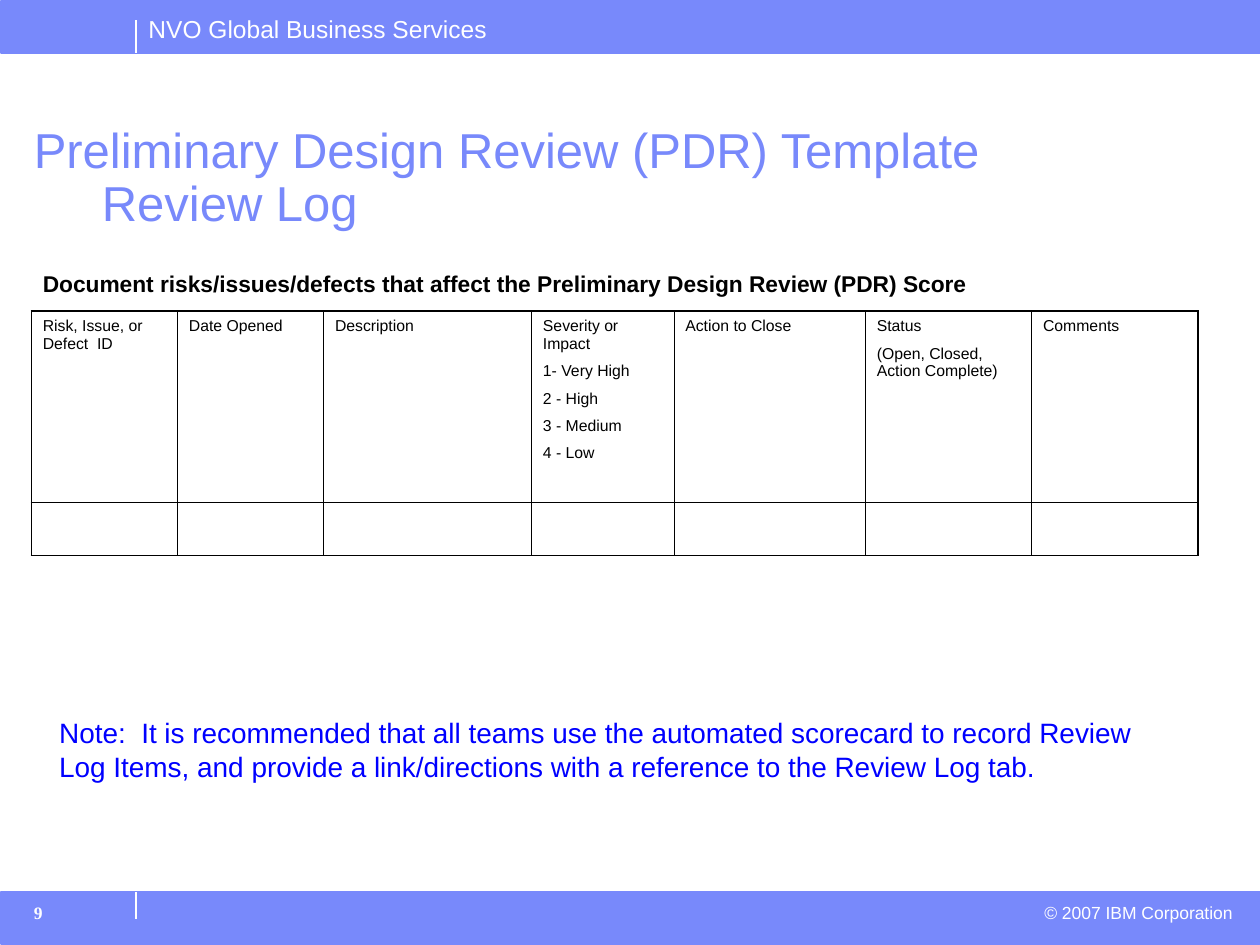
from lxml import etree
from pptx import Presentation
from pptx.dml.color import RGBColor
from pptx.enum import shapes, text
from pptx.oxml.ns import qn
from pptx.util import Inches, Pt

COLORS = {"band": "7889FB", "paper": "FFFFFF", "ink": "000000", "note": "0000FF"}

deck = Presentation()
deck.slide_width, deck.slide_height = Inches(10), Inches(7.5)
page = deck.slides.add_slide(deck.slide_layouts[6])


def add_span(para, words, size, color, bold=False, face="Arial"):
    span = para.add_run()
    span.text = words
    span.font.name, span.font.size, span.font.bold = face, Pt(size), bold
    span.font.color.rgb = RGBColor.from_string(COLORS[color])


def add_box(left, top, width, height, inset=(0.1, 0.05)):
    box = page.shapes.add_textbox(*map(Inches, (left, top, width, height)))
    frame = box.text_frame
    frame.word_wrap = True
    frame.margin_left = frame.margin_right = Inches(inset[0])
    frame.margin_top = frame.margin_bottom = Inches(inset[1])
    return frame.paragraphs[0]


# Header and footer bands, each with a white tick
for band_top, tick_top, tick_bottom in ((0.01, 0.16, 0.42), (7.08, 7.08, 7.29)):
    band = page.shapes.add_shape(shapes.MSO_SHAPE.RECTANGLE, Inches(0.01),
                                 Inches(band_top), Inches(9.99), Inches(0.41))
    band.shadow.inherit = False
    band.fill.solid()
    band.fill.fore_color.rgb = RGBColor.from_string(COLORS["band"])
    band.line.color.rgb = RGBColor.from_string(COLORS["band"])
    band.line.width = Pt(1)
    tick = page.shapes.add_connector(shapes.MSO_CONNECTOR.STRAIGHT, Inches(1.08),
                                     Inches(tick_top), Inches(1.08), Inches(tick_bottom))
    tick.line.color.rgb = RGBColor.from_string(COLORS["paper"])
    tick.line.width = Pt(1)
    etree.SubElement(tick._element.spPr, qn("a:effectLst"))

# Band texts
add_span(add_box(1.08, 0.06, 3.2, 0.33), "NVO Global Business Services", 14, "paper")
copyright_line = add_box(6.26, 7.11, 3.62, 0.27)
copyright_line.alignment = text.PP_ALIGN.RIGHT
add_span(copyright_line, "© 2007 IBM Corporation", 10, "paper")
add_span(add_box(0.17, 7.11, 1.1, 0.35), "9", 10, "paper", True, "Times New Roman")

# Title, with its second line hanging
title = add_box(0.17, 0.95, 9.02, 1.38)
title.line_spacing = 0.9
title_props = title._p.get_or_add_pPr()
title_props.set("marL", str(Inches(0.54)))
title_props.set("indent", str(-Inches(0.54)))
add_span(title, "Preliminary Design Review (PDR) Template", 28, "band")
title.add_line_break()
add_span(title, "Review Log", 28, "band")

# Lead-in and closing note
add_span(add_box(0.25, 2.1, 9.33, 0.57, (0.09, 0.04)),
         "Document risks/issues/defects that affect the Preliminary Design Review (PDR) Score",
         13, "ink", True)
add_span(add_box(0.38, 5.64, 9.1, 0.62, (0.09, 0.04)),
         "Note:  It is recommended that all teams use the automated scorecard to record "
         "Review Log Items, and provide a link/directions with a reference to the Review Log tab.",
         16, "note")

# Review log: header row and one empty row
COLUMNS = [
    (1.16, ["Risk, Issue, or Defect  ID"]),
    (1.16, ["Date Opened"]),
    (1.65, ["Description"]),
    (1.13, ["Severity or Impact", "1- Very High", "2 - High", "3 - Medium", "4 - Low"]),
    (1.52, ["Action to Close"]),
    (1.32, ["Status", "(Open, Closed, Action Complete)"]),
    (1.32, ["Comments"]),
]
ROWS = [1.52, 0.42]
log = page.shapes.add_table(len(ROWS), len(COLUMNS), Inches(0.25), Inches(2.47),
                            Inches(sum(width for width, _ in COLUMNS)),
                            Inches(sum(ROWS))).table
log.first_row = log.horz_banding = False
last_row, last_column = len(ROWS) - 1, len(COLUMNS) - 1

for r, height in enumerate(ROWS):
    log.rows[r].height = Inches(height)
    for c, (width, lines) in enumerate(COLUMNS):
        log.columns[c].width = Inches(width)
        cell = log.cell(r, c)
        cell.margin_left = cell.margin_right = Inches(0.09)
        cell.margin_top = cell.margin_bottom = Inches(0.05)

        # Heavy outer edges, thin inner ones; borders go before the fill
        edges = {"lnL": c == 0, "lnR": c == last_column, "lnT": r == 0, "lnB": r == last_row}
        cell_props = cell._tc.get_or_add_tcPr()
        for edge, outer in edges.items():
            border = etree.SubElement(cell_props, qn(f"a:{edge}"),
                                      w=str(Pt(1.08 if outer else 0.45)))
            paint = etree.SubElement(border, qn("a:solidFill"))
            etree.SubElement(paint, qn("a:srgbClr"), val=COLORS["ink"])
        cell.fill.background()

        if r == 0:
            for i, line in enumerate(lines):
                frame = cell.text_frame
                para = frame.add_paragraph() if i else frame.paragraphs[0]
                para.space_before = Pt(3.9 if i else 0)
                para.space_after = Pt(1.6)
                add_span(para, line, 9, "ink")

deck.save("out.pptx")
